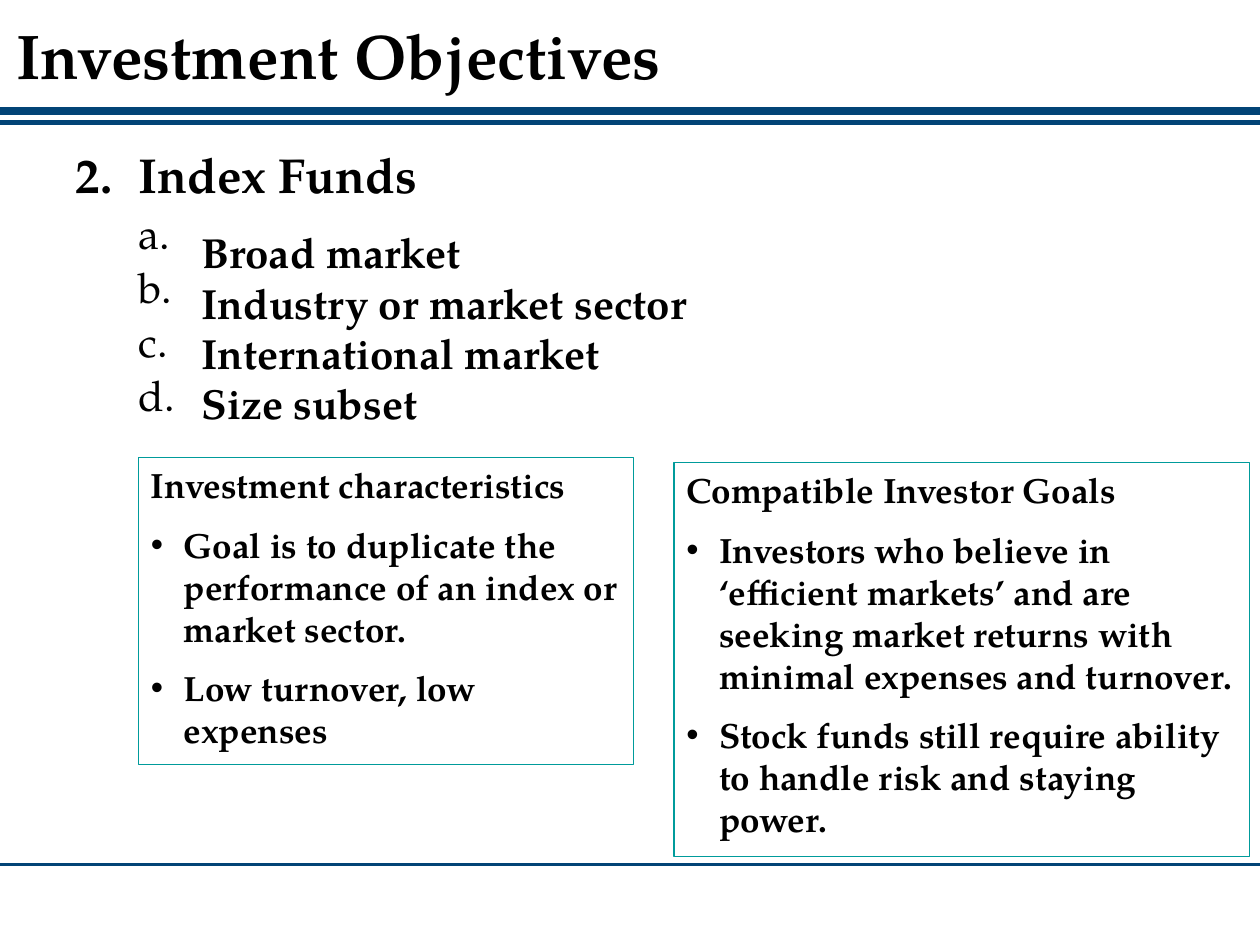
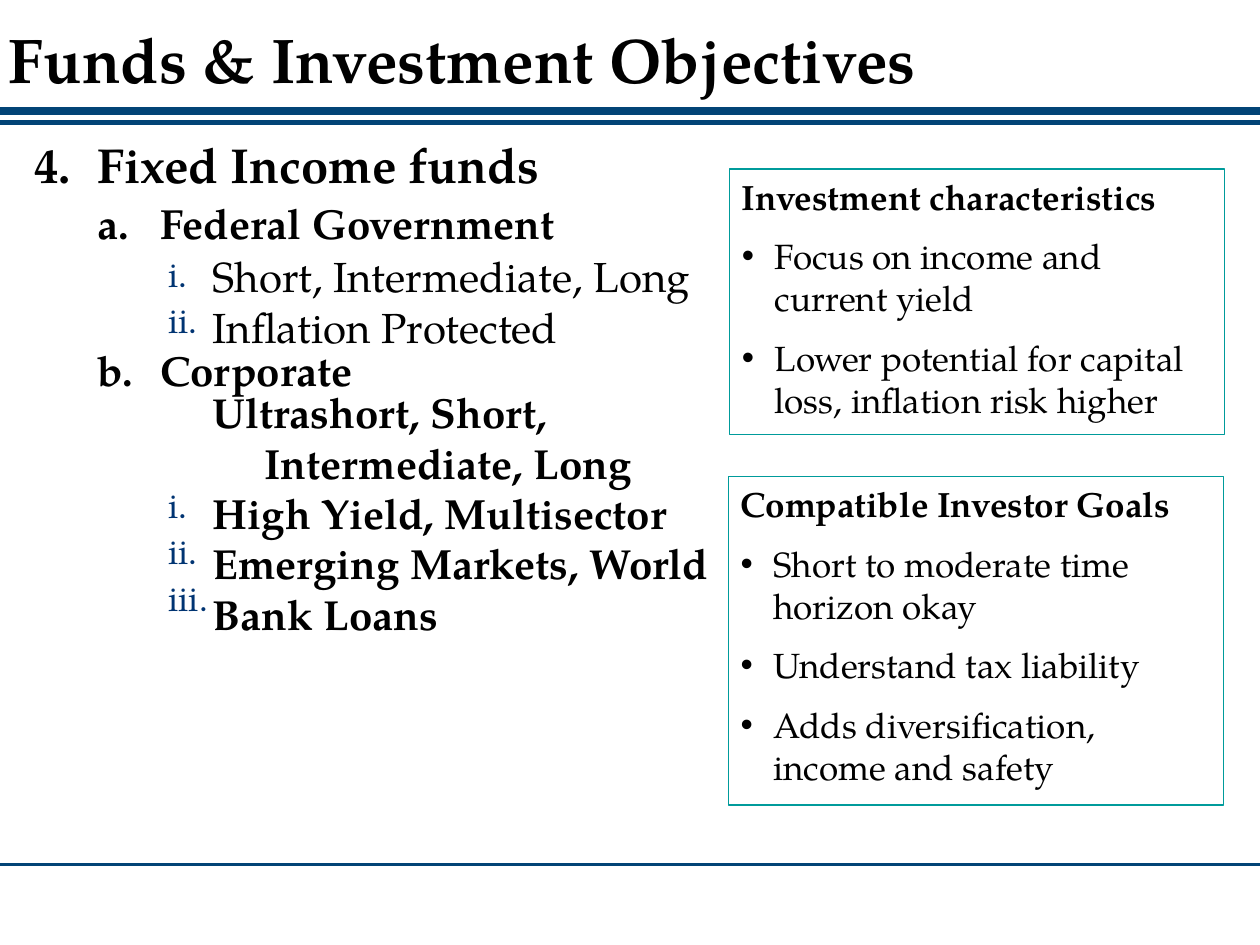
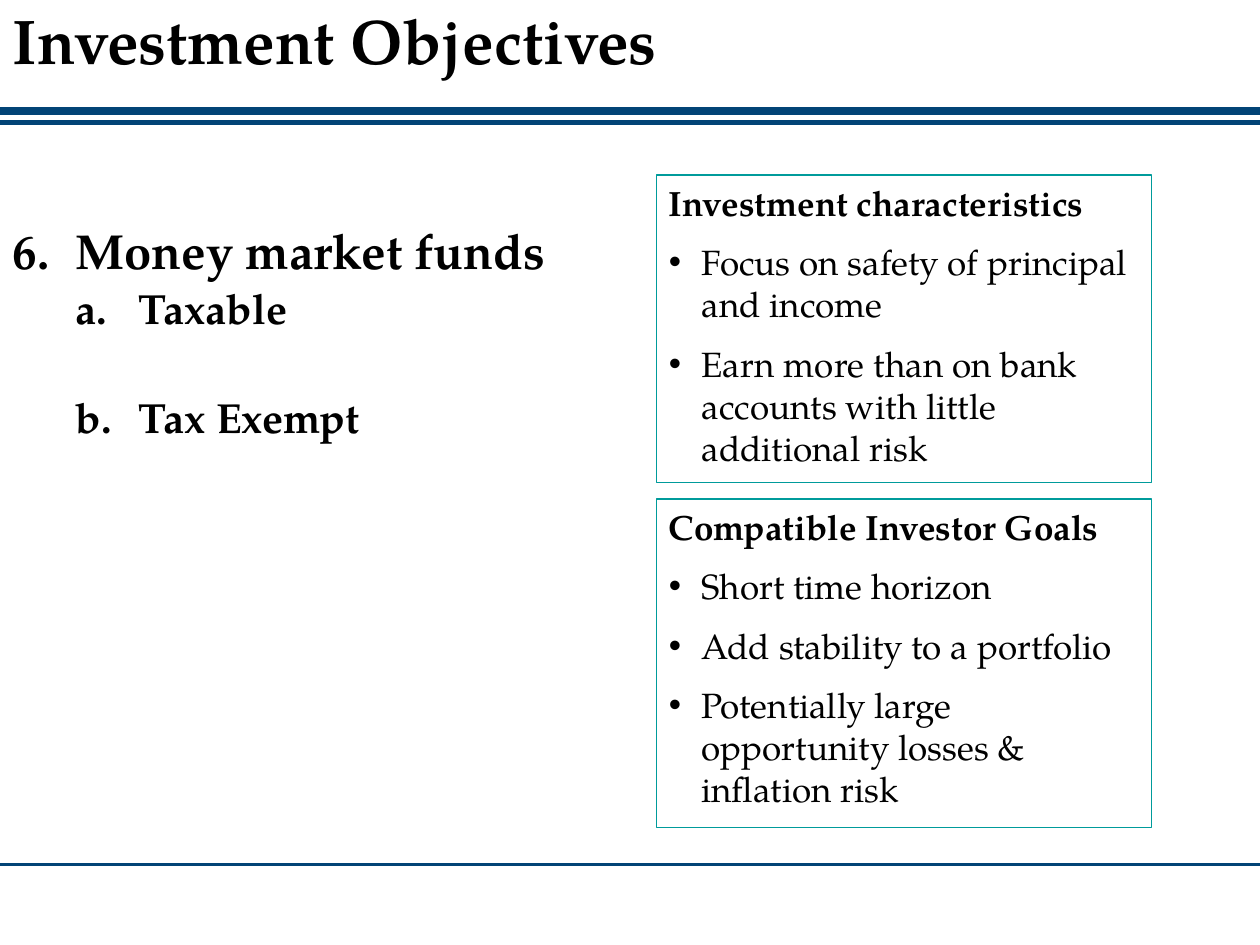
from lxml.etree import SubElement
from pptx import Presentation
from pptx.dml.color import RGBColor
from pptx.enum.shapes import MSO_CONNECTOR, MSO_SHAPE
from pptx.enum.text import MSO_ANCHOR, MSO_AUTO_SIZE, PP_ALIGN
from pptx.oxml.ns import qn
from pptx.util import Inches, Pt

FONT = "TeX Gyre Pagella"
BLACK, WHITE, RULE_BLUE, NUMBER_BLUE, TEAL = "000000", "FFFFFF", "024476", "003472", "009B9B"
COLUMNS, ROWS = 100, 75
LABEL_ONLY = " "  # list item whose wording stands in a text box beside it
NUMBERING = ("arabicPeriod", "alphaLcPeriod", "romanLcPeriod")
LEVEL_SIZES = (28, 24, 20)
LEVEL_MARGINS = (0.5, 1, 1.57)
LEVEL_SPACING = (10, 5, 5)


def color(hex_string):
    return RGBColor.from_string(hex_string)


def write(paragraph, text, size=24, bold=False, margin=0, hanging=0, before=0,
          spacing=1.0, level=0, bullet=None, numbering=None, start=1, bullet_color=BLACK):
    """Fill a paragraph; margin and hanging are inches, before is points."""
    paragraph.text = text
    paragraph.level = level
    paragraph.alignment = PP_ALIGN.LEFT
    paragraph.line_spacing = spacing
    paragraph.space_before = Pt(before)
    for run in paragraph.runs:
        run.font.name = FONT
        run.font.size = Pt(size)
        run.font.bold = bold
        run.font.color.rgb = color(BLACK)
    properties = paragraph._p.get_or_add_pPr()
    properties.set("marL", str(Inches(margin)))
    properties.set("indent", str(-Inches(hanging)))
    if bullet or numbering:
        fill = SubElement(properties, qn("a:buClr"))
        SubElement(fill, qn("a:srgbClr"), val=bullet_color)
        SubElement(properties, qn("a:buFont"), typeface="Arial" if bullet else FONT)
    if bullet:
        SubElement(properties, qn("a:buChar"), char=bullet)
    elif numbering:
        number = SubElement(properties, qn("a:buAutoNum"), type=numbering)
        if start > 1:
            number.set("startAt", str(start))


def paragraphs(frame, count):
    """Return the frame's first paragraph followed by new ones, count in all."""
    return [frame.paragraphs[0]] + [frame.add_paragraph() for _ in range(count - 1)]


class Deck:
    """Holds the presentation, its grid and the slide being built."""

    def __init__(self):
        self.presentation = Presentation()
        self.presentation.slide_width = Inches(10)
        self.presentation.slide_height = Inches(7.5)
        self.column = self.presentation.slide_width / COLUMNS
        self.row = self.presentation.slide_height / ROWS
        self.layout = self.presentation.slide_layouts[1]
        self.slide = None

    def area(self, left, top, width, height):
        return (round(left * self.column), round(top * self.row),
                round(width * self.column), round(height * self.row))

    def frame(self, shape, anchor=MSO_ANCHOR.TOP):
        frame = shape.text_frame
        frame.word_wrap = True
        frame.auto_size = MSO_AUTO_SIZE.NONE
        frame.vertical_anchor = anchor
        return frame

    def move(self, shape, area):
        shape.left, shape.top, shape.width, shape.height = self.area(*area)

    def add_slide(self, title, area):
        first = self.slide is None
        self.slide = self.presentation.slides.add_slide(self.layout)
        if first:
            for row, overhang, width in ((8.8, 0, 4.5), (9.7, 0, 3), (68.6, 0.2, 1.5)):
                self.layout_rule(row, overhang, width)
        shape = self.slide.shapes.title
        self.move(shape, area)
        frame = self.frame(shape, MSO_ANCHOR.BOTTOM)
        write(frame.paragraphs[0], title, size=36, bold=True, spacing=0.9)

    def layout_rule(self, row, overhang, width):
        """Draw a horizontal rule and hand it to the layout, so every slide shows it."""
        left, top, length, _ = self.area(-overhang, row, COLUMNS + 2 * overhang, 0)
        rule = self.slide.shapes.add_connector(
            MSO_CONNECTOR.STRAIGHT, left, top, left + length, top)
        rule.line.color.rgb = color(RULE_BLUE)
        rule.line.width = Pt(width)
        SubElement(rule.element.spPr, qn("a:effectLst"))
        self.layout.shapes.element.append(rule.element)

    def add_outline(self, area, start, items):
        """Fill the body with (level, text) items; a third entry sets the gap above."""
        body = self.slide.placeholders[1]
        self.move(body, area)
        frame = self.frame(body)
        for paragraph, (level, text, *gap) in zip(paragraphs(frame, len(items)), items):
            write(paragraph, text, size=LEVEL_SIZES[level], bold=text != LABEL_ONLY,
                  margin=LEVEL_MARGINS[level], hanging=0.5, spacing=0.9, level=level,
                  before=gap[0] if gap else LEVEL_SPACING[level],
                  numbering=NUMBERING[level], start=1 if level else start,
                  bullet_color=NUMBER_BLUE if level == 2 else BLACK)

    def add_panel(self, area, heading, points, bold=False):
        panel = self.slide.shapes.add_shape(MSO_SHAPE.RECTANGLE, *self.area(*area))
        panel.shadow.inherit = False
        panel.fill.solid()
        panel.fill.fore_color.rgb = color(WHITE)
        panel.line.color.rgb = color(TEAL)
        panel.line.width = Pt(0.75)
        first, *rest = paragraphs(self.frame(panel), len(points) + 1)
        style = dict(size=20, margin=0.26, hanging=0.26, before=10)
        write(first, heading, bold=True, **style)
        for paragraph, point in zip(rest, points):
            write(paragraph, point, bold=bold, bullet="•", **style)

    def add_characteristics(self, area, points, **style):
        self.add_panel(area, "Investment characteristics", points, **style)

    def add_goals(self, area, points, **style):
        self.add_panel(area, "Compatible Investor Goals", points, **style)

    def add_lines(self, area, lines, hanging, bold=True):
        box = self.slide.shapes.add_textbox(*self.area(*area))
        for paragraph, line in zip(paragraphs(self.frame(box), len(lines)), lines):
            write(paragraph, line, bold=bold, margin=hanging, hanging=hanging)


def add_index_funds(deck):
    deck.add_slide("Investment Objectives", (0.3, 0.1, 57, 7.8))
    deck.add_outline((5, 11.5, 90, 49.5), 2,
                     [(0, "Index Funds")] + [(1, LABEL_ONLY)] * 4)
    deck.add_characteristics((11, 36.3, 39.3, 24.4), [
        "Goal is to duplicate the performance of an index or market sector.",
        "Low turnover, low expenses"], bold=True)
    deck.add_goals((53.5, 36.7, 45.7, 31.3), [
        "Investors who believe in ‘efficient markets’ and are seeking market returns "
        "with minimal expenses and turnover.",
        "Stock funds still require ability to handle risk and staying power."], bold=True)
    deck.add_lines((15, 17.5, 50, 17.2), [
        "Broad market", "Industry or market sector", "International market",
        "Size subset"], hanging=0.38)


def add_fixed_income_funds(deck):
    deck.add_slide("Funds & Investment Objectives", (-0.3, -1.2, 82.8, 9.4))
    deck.add_outline((1.7, 10.7, 96.7, 56.6), 4, [
        (0, "Fixed Income funds"),
        (1, "Federal Government"), (2, LABEL_ONLY), (2, LABEL_ONLY),
        (1, "Corporate"), (2, LABEL_ONLY, 53), (2, LABEL_ONLY), (2, LABEL_ONLY)])
    deck.add_characteristics((57.9, 13.4, 39.3, 21.1), [
        "Focus on income and current yield",
        "Lower potential for capital loss, inflation risk higher"])
    deck.add_goals((57.8, 37.8, 39.3, 26.1), [
        "Short to moderate time horizon okay", "Understand tax liability",
        "Adds diversification, income and safety"])
    deck.add_lines((15.9, 19.4, 50, 9.1), [
        "Short, Intermediate, Long", "Inflation Protected"], hanging=0.41, bold=False)
    deck.add_lines((15.9, 30.2, 50, 21.2), [
        "Ultrashort, Short,\vIntermediate, Long", "High Yield, Multisector",
        "Emerging Markets, World", "Bank Loans"], hanging=0.41)


def add_money_market_funds(deck):
    deck.add_slide("Investment Objectives", (0, 0, 62.5, 6.7))
    deck.add_outline((0, 17.5, 90, 49.5), 6, [
        (0, "Money market funds"), (1, "Taxable"), (1, "Tax Exempt", 36)])
    deck.add_characteristics((52.1, 13.9, 39.3, 24.4), [
        "Focus on safety of principal and income",
        "Earn more than on bank accounts with little additional risk"])
    deck.add_goals((52.1, 39.6, 39.3, 26.1), [
        "Short time horizon", "Add stability to a portfolio",
        "Potentially large opportunity losses & inflation risk"])


def main():
    deck = Deck()
    add_index_funds(deck)
    add_fixed_income_funds(deck)
    add_money_market_funds(deck)
    deck.presentation.save("out.pptx")


if __name__ == "__main__":
    main()
